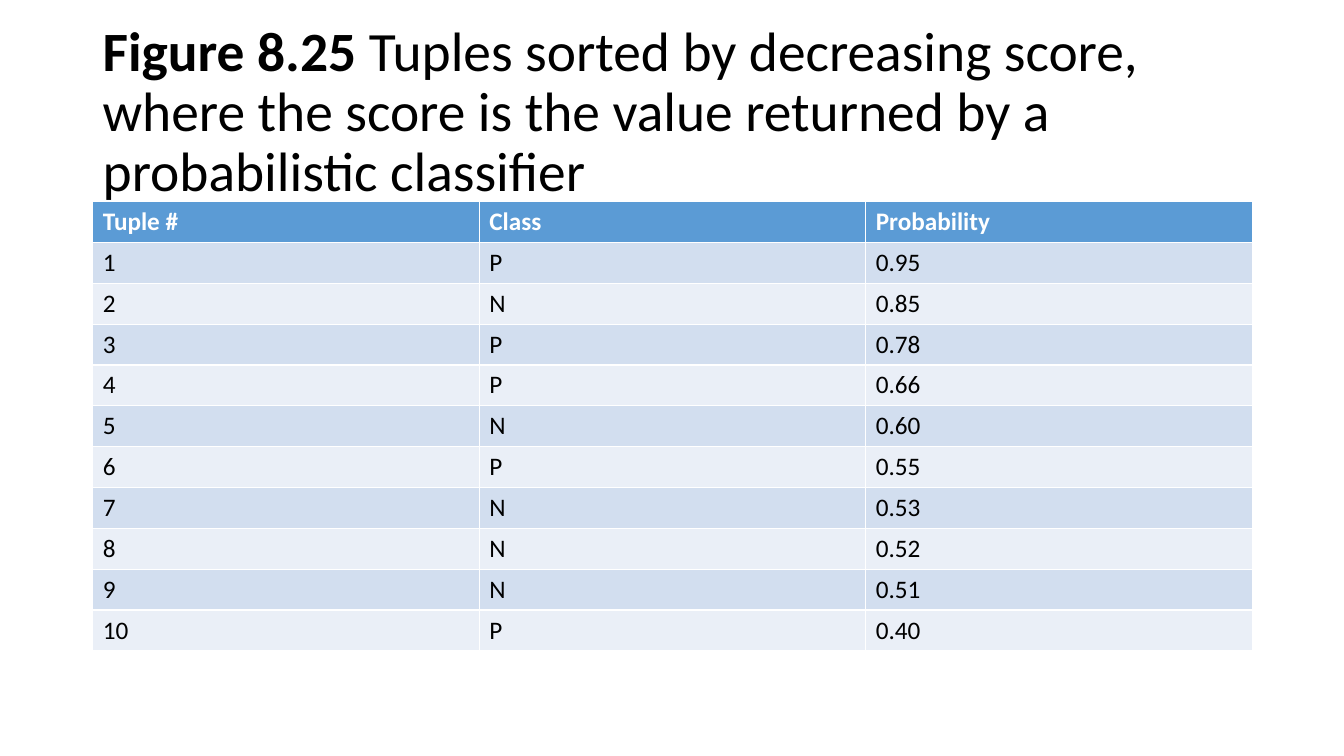
from pptx import Presentation
from pptx.dml.color import RGBColor
from pptx.enum.text import MSO_ANCHOR
from pptx.util import Inches, Pt

MIDDLE = MSO_ANCHOR.MIDDLE
FONT = "Calibri"
BLACK, WHITE = "000000", "FFFFFF"
HEADER_FILL = "5B9BD5"
BAND_FILLS = ("D2DEEF", "EAEFF7")

HEADERS = ("Tuple #", "Class", "Probability")
CLASSES = "PNPPNPNNNP"
PROBABILITIES = ("0.95", "0.85", "0.78", "0.66", "0.60",
                 "0.55", "0.53", "0.52", "0.51", "0.40")


def color(hex_string):
    return RGBColor.from_string(hex_string)


def style_font(font, size, hex_string):
    font.name = FONT
    font.size = Pt(size)
    font.color.rgb = color(hex_string)


def add_title(slide, left, top, width, height):
    box = slide.shapes.add_textbox(left, top, width, height)
    frame = box.text_frame
    frame.word_wrap = True
    frame.vertical_anchor = MIDDLE
    paragraph = frame.paragraphs[0]
    paragraph.line_spacing = 0.9
    style_font(paragraph.font, 39.6, BLACK)

    # Bold figure number, then the caption
    label = paragraph.add_run()
    label.text = "Figure 8.25 "
    label.font.bold = True
    paragraph.add_run().text = (
        "Tuples sorted by decreasing score, where the score is the value returned by a")
    paragraph.add_line_break()
    paragraph.add_run().text = "probabilistic classifier"


def add_score_table(slide, left, top, width, height):
    rows = [HEADERS]
    for number, (label, probability) in enumerate(zip(CLASSES, PROBABILITIES), 1):
        rows.append((str(number), label, probability))

    # The default table style draws the white cell borders
    table = slide.shapes.add_table(
        len(rows), len(HEADERS), left, top, width, height).table
    for row_index, values in enumerate(rows):
        is_header = row_index == 0
        fill = HEADER_FILL if is_header else BAND_FILLS[(row_index - 1) % 2]
        for column_index, value in enumerate(values):
            cell = table.cell(row_index, column_index)
            cell.text = value
            cell.fill.solid()
            cell.fill.fore_color.rgb = color(fill)
            font = cell.text_frame.paragraphs[0].font
            style_font(font, 18, WHITE if is_header else BLACK)
            font.bold = is_header


def main():
    presentation = Presentation()
    presentation.slide_width = Inches(13.33)
    presentation.slide_height = Inches(7.5)
    slide = presentation.slides.add_slide(presentation.slide_layouts[6])
    left, width = Inches(0.92), Inches(11.5)
    add_title(slide, left, Inches(0.4), width, Inches(1.45))
    add_score_table(slide, left, Inches(2), width, Inches(4.46))
    presentation.save("out.pptx")


if __name__ == "__main__":
    main()
